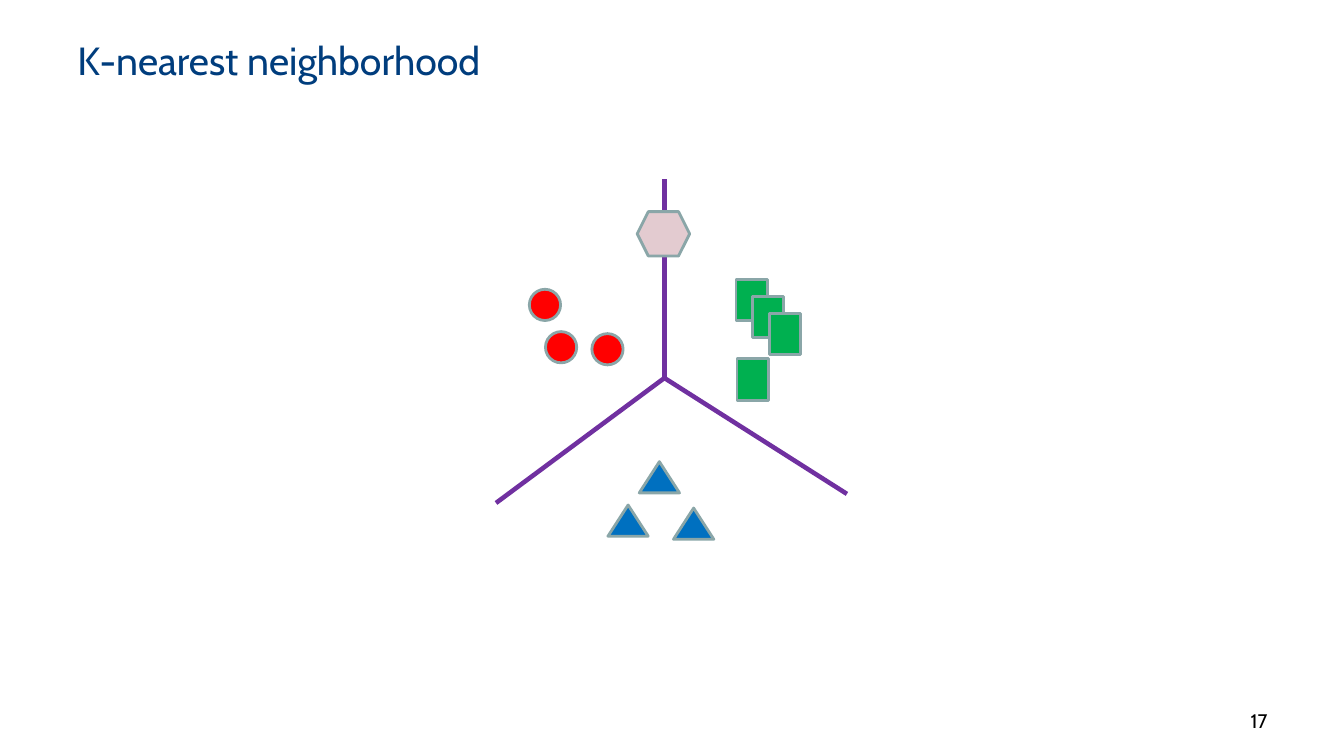
"""Build the K-nearest neighborhood slide: three classes, their boundaries and a query point."""
from pptx import Presentation
from pptx.dml.color import RGBColor
from pptx.enum.shapes import MSO_CONNECTOR, MSO_SHAPE
from pptx.enum.text import MSO_ANCHOR, PP_ALIGN
from pptx.oxml.ns import qn
from pptx.util import Inches, Pt

COLORS = {
    "title": "003D7D", "number": "000000", "boundary": "7030A0", "outline": "8AA6A8",
    "red": "FF0000", "green": "00B050", "blue": "0070C0", "query": "E3CBD0",
}
FONT = "Cabin"
WIDTH, HEIGHT = 13.33, 7.5
MARGIN = 0.67

TEXTS = [
    ("K-nearest neighborhood", (MARGIN, -0.03, 12, 1.25), "title", 28,
     {"vertical_anchor": MSO_ANCHOR.MIDDLE}, PP_ALIGN.LEFT),
    ("17", (9.56, 6.98, 3.11, 0.37), "number", 14,
     {"vertical_anchor": MSO_ANCHOR.TOP}, PP_ALIGN.RIGHT),
]

JUNCTION = (6.59, 3.75)
BOUNDARY_ENDS = [(6.59, 1.78), (4.92, 4.99), (8.4, 4.9)]

GROUPS = [
    (MSO_SHAPE.OVAL, "red", (0.31, 0.31), [(5.25, 2.87), (5.41, 3.29), (5.87, 3.31)]),
    (MSO_SHAPE.RECTANGLE, "green", (0.31, 0.41),
     [(7.3, 2.77), (7.46, 2.94), (7.63, 3.11), (7.31, 3.56)]),
    (MSO_SHAPE.ISOSCELES_TRIANGLE, "blue", (0.4, 0.31),
     [(6.03, 5.01), (6.68, 5.04), (6.34, 4.58)]),
    (MSO_SHAPE.HEXAGON, "query", (0.52, 0.44), [(6.32, 2.1)]),
]


def color(name):
    return RGBColor.from_string(COLORS[name])


def inches(*lengths):
    return [Inches(length) for length in lengths]


def set_line(line, name, points):
    line.color.rgb = color(name)
    line.width = Pt(points)


def add_text(page, text, place, color_name, size, frame_format, alignment):
    frame = page.shapes.add_textbox(*inches(*place)).text_frame
    for key, value in {"word_wrap": True, **frame_format}.items():
        setattr(frame, key, value)
    para = frame.paragraphs[0]
    para.alignment = alignment
    span = para.add_run()
    span.text = text
    for key, value in {"name": FONT, "size": Pt(size)}.items():
        setattr(span.font, key, value)
    span.font.color.rgb = color(color_name)


def add_boundary(page, end):
    boundary = page.shapes.add_connector(MSO_CONNECTOR.STRAIGHT, *inches(*JUNCTION, *end))
    set_line(boundary.line, "boundary", 3.25)
    properties = boundary._element.spPr
    properties.append(properties.makeelement(qn("a:effectLst"), {}))


def add_point(page, kind, fill, size, corner):
    point = page.shapes.add_shape(kind, *inches(*corner, *size))
    point.shadow.inherit = False
    point.fill.solid()
    point.fill.fore_color.rgb = color(fill)
    set_line(point.line, "outline", 2)


def main():
    deck = Presentation()
    deck.slide_width, deck.slide_height = inches(WIDTH, HEIGHT)
    page = deck.slides.add_slide(deck.slide_layouts[6])
    for text in TEXTS:
        add_text(page, *text)
    for end in BOUNDARY_ENDS:
        add_boundary(page, end)
    for kind, fill, size, corners in GROUPS:
        for corner in corners:
            add_point(page, kind, fill, size, corner)
    deck.save("out.pptx")


if __name__ == "__main__":
    main()
